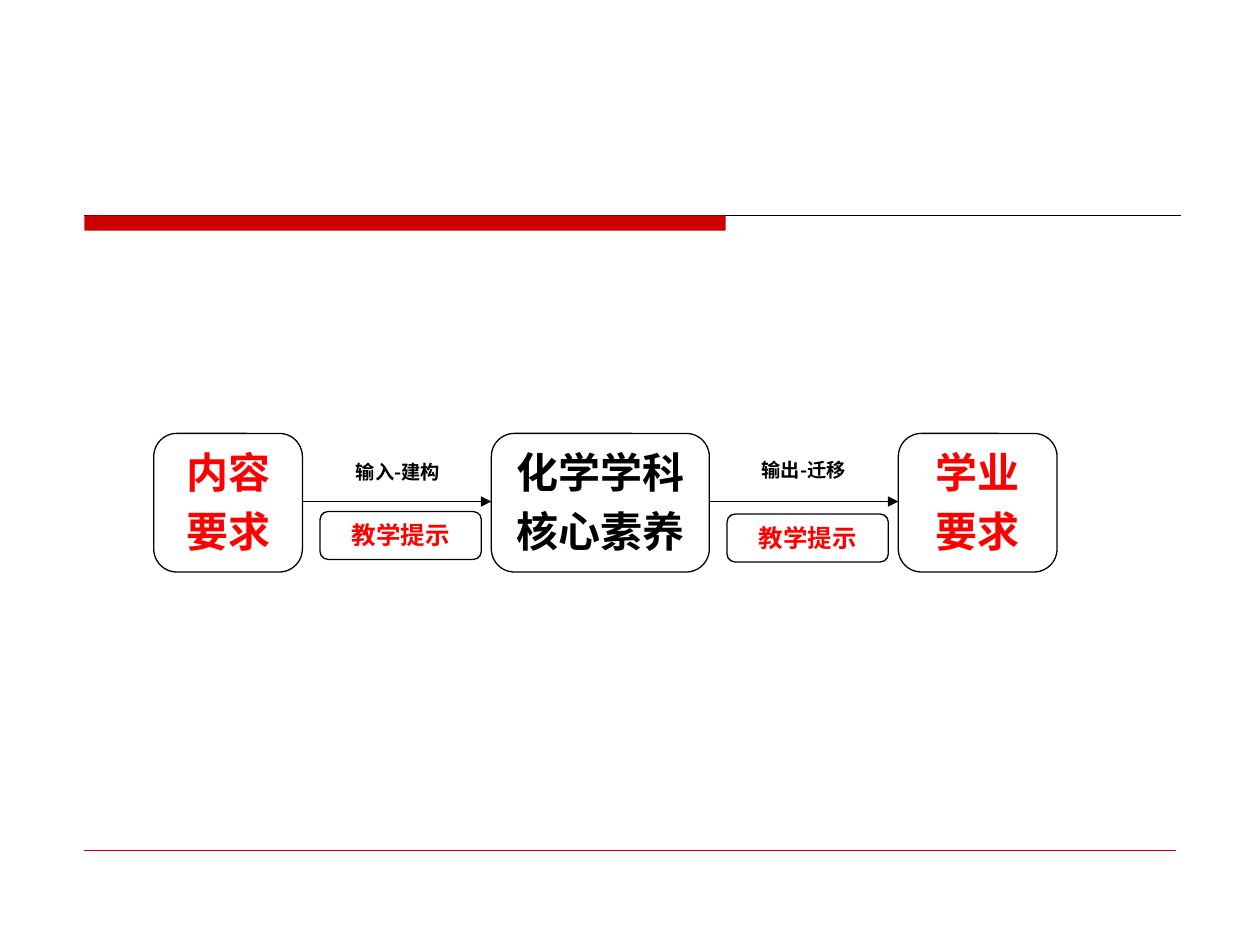
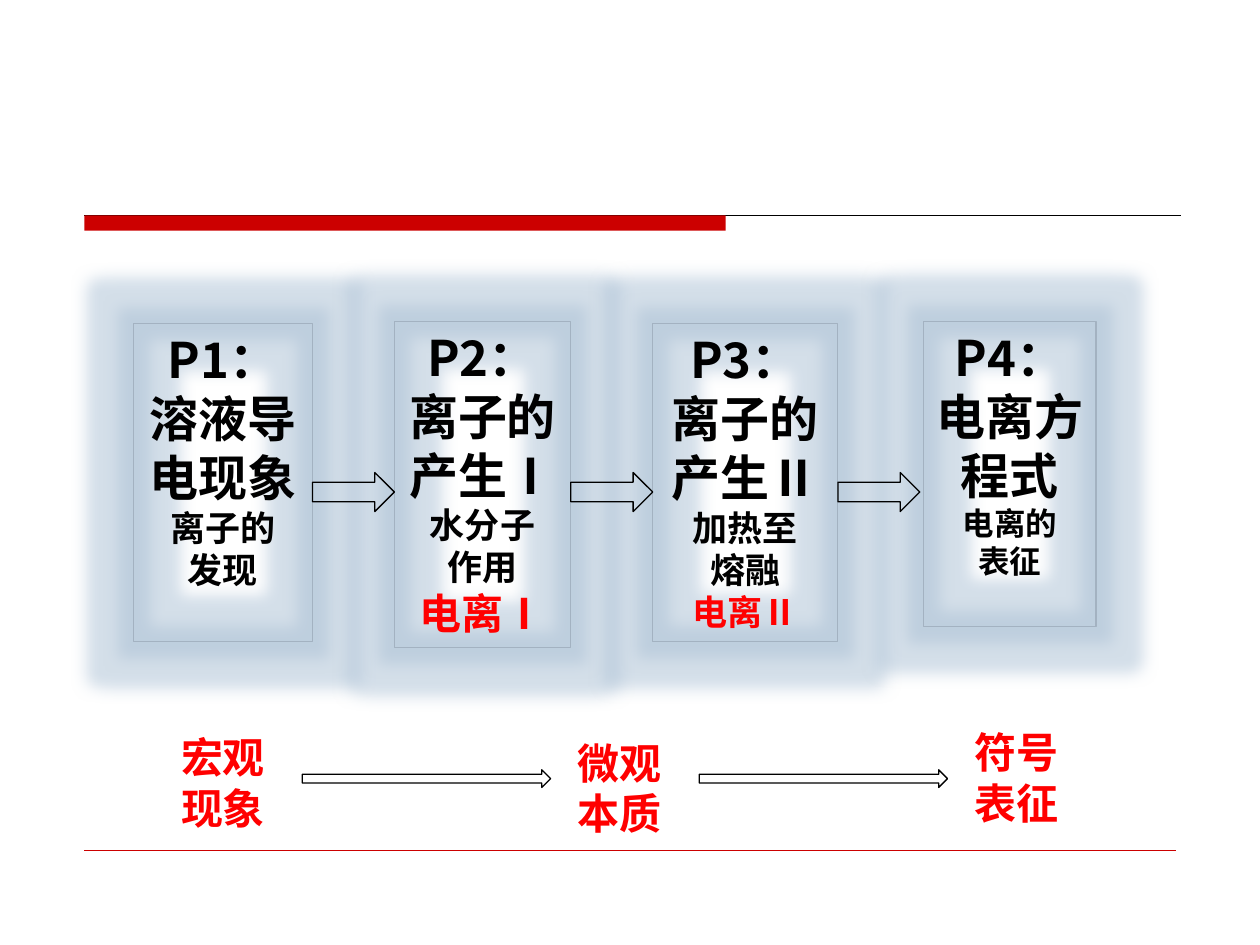
import lxml.etree
import pptx
import pptx.dml.color
import pptx.enum.shapes
import pptx.enum.text
import pptx.oxml
import pptx.oxml.ns
import pptx.util

RGBColor = pptx.dml.color.RGBColor
SHAPES = pptx.enum.shapes.MSO_SHAPE
ALIGN = pptx.enum.text.PP_ALIGN
ANCHOR = pptx.enum.text.MSO_ANCHOR
qn = pptx.oxml.ns.qn

BRAND_RED = RGBColor(0xCC, 0x00, 0x00)
TEXT_RED = RGBColor(0xFF, 0x00, 0x00)
BLACK = RGBColor(0x00, 0x00, 0x00)
PANEL_EDGE = RGBColor(0xA3, 0xB2, 0xC1)
PANEL_GLOW = RGBColor(0xA9, 0xBF, 0xD4)
FONT = "Noto Sans CJK SC"

# The slide is a grid of 100 columns by 75 rows.
COLUMNS, ROWS = 100, 75
CELL = pptx.util.Inches(0.1)
LEFT_MARGIN = 6.7
LINE_HEIGHT = 1.2


def cells(*counts):
    return [round(count * CELL) for count in counts]


def add_outline(page, preset, place, edge=BLACK, fill=None):
    """Add a preset shape at (left, top, width, height) in grid cells."""
    shape = page.shapes.add_shape(preset, *cells(*place))
    shape.shadow.inherit = False
    if fill is None:
        shape.fill.background()
    else:
        shape.fill.solid()
        shape.fill.fore_color.rgb = fill
    if edge is None:
        shape.line.fill.background()
    else:
        shape.line.color.rgb = edge
        shape.line.width = pptx.util.Pt(0.75)
    return shape


def add_line(page, start, end, color=BLACK, width=0.75, arrow=False):
    line = page.shapes.add_connector(
        pptx.enum.shapes.MSO_CONNECTOR.STRAIGHT, *cells(*start, *end))
    line.line.color.rgb = color
    line.line.width = pptx.util.Pt(width)
    properties = line._element.spPr
    if arrow:
        lxml.etree.SubElement(properties.find(qn("a:ln")), qn("a:tailEnd"), type="triangle")
    lxml.etree.SubElement(properties, qn("a:effectLst"))


def write_lines(box, lines, inset=(1, 0.5), lead=0):
    """Write (text, size, color) lines; lead is the space before, as a share of the size."""
    frame = box.text_frame
    frame.word_wrap = True
    frame.vertical_anchor = ANCHOR.TOP
    frame.margin_left = frame.margin_right = cells(inset[0])[0]
    frame.margin_top = frame.margin_bottom = cells(inset[1])[0]
    for index, (text, size, color) in enumerate(lines):
        para = frame.add_paragraph() if index else frame.paragraphs[0]
        para.alignment = ALIGN.CENTER
        para.line_spacing = pptx.util.Pt(size * LINE_HEIGHT)
        para.space_before = pptx.util.Pt(size * lead)
        span = para.add_run()
        span.text = text
        para.font.size = pptx.util.Pt(size)
        para.font.bold = True
        para.font.name = FONT
        para.font.color.rgb = color
        east_asian = lxml.etree.SubElement(span.font._element, qn("a:ea"))
        east_asian.set("typeface", FONT)


def add_glow(shape, radius, color, opacity):
    effects = shape._element.spPr.find(qn("a:effectLst"))
    glow = lxml.etree.SubElement(effects, qn("a:glow"), rad=str(cells(radius)[0]))
    tint = lxml.etree.SubElement(glow, qn("a:srgbClr"), val=str(color))
    lxml.etree.SubElement(tint, qn("a:alpha"), val=str(opacity * 1000))


def add_rounded_box(page, place, lines, edge=BLACK):
    box = add_outline(page, SHAPES.ROUNDED_RECTANGLE, place, edge)
    write_lines(box, lines, inset=(0.6, 0.5), lead=0.2)


def add_block_arrow(page, left, top, width, height):
    add_outline(page, SHAPES.RIGHT_ARROW, (left, top, width, height))


def add_panel(page, place, lines):
    panel = add_outline(page, SHAPES.RECTANGLE, place, PANEL_EDGE)
    add_glow(panel, 2.5, PANEL_GLOW, 50)
    write_lines(panel, lines)


def add_caption(page, left, top, lines):
    box = page.shapes.add_textbox(*cells(left, top, 12.6, 9.1))
    write_lines(box, [(text, 24, TEXT_RED) for text in lines])


def add_page(deck):
    """Add a blank page with the shared title band and footer rule."""
    page = deck.slides.add_slide(deck.slide_layouts[6])
    add_line(page, (LEFT_MARGIN, 17.1), (93.7, 17.1))
    add_outline(page, SHAPES.RECTANGLE, (LEFT_MARGIN, 17.1, 50.9, 1.2), None, BRAND_RED)
    add_line(page, (LEFT_MARGIN, 67.5), (93.3, 67.5), BRAND_RED, 0.25)
    return page


def build_literacy_page(deck):
    page = add_page(deck)
    stages = [
        (12.2, 11.8, TEXT_RED, ("内容", "要求")),
        (39, 17.3, BLACK, ("化学学科", "核心素养")),
        (71.3, 12.6, TEXT_RED, ("学业", "要求")),
    ]
    for left, width, color, texts in stages:
        add_rounded_box(page, (left, 34.4, width, 11), [(text, 24, color) for text in texts])
    for (left, width, *_), (next_left, *_) in zip(stages, stages[1:]):
        add_line(page, (left + width, 39.8), (next_left, 39.8), arrow=True)

    links = [("输入-建构", 25.7, 35.9, 25.4, 40.6), ("输出-迁移", 57.9, 35.7, 57.7, 40.8)]
    for text, label_left, label_top, hint_left, hint_top in links:
        add_rounded_box(page, (label_left, label_top, 11.8, 3.2), [(text, 11, BLACK)], None)
        add_rounded_box(page, (hint_left, hint_top, 12.8, 3.8), [("教学提示", 14, TEXT_RED)])


def build_ionization_page(deck):
    page = add_page(deck)
    panels = [
        ((10.6, 25.7, 14.2, 25.2), [
            ("P1：溶液导电现象", 28, BLACK), ("离子的", 20, BLACK), ("发现", 20, BLACK)]),
        ((31.3, 25.5, 14, 25.9), [
            ("P2：离子的产生Ⅰ", 28, BLACK), ("水分子", 20, BLACK), ("作用", 20, BLACK),
            ("电离Ⅰ", 24, TEXT_RED)]),
        ((51.8, 25.7, 14.7, 25.2), [
            ("P3：", 28, BLACK), ("离子的产生Ⅱ", 28, BLACK), ("加热至", 20, BLACK),
            ("熔融", 20, BLACK), ("电离Ⅱ", 20, TEXT_RED)]),
        ((73.3, 25.5, 13.7, 24.2), [
            ("P4：电离方程式", 28, BLACK), ("电离的", 18, BLACK), ("表征", 18, BLACK)]),
    ]
    for place, lines in panels:
        add_panel(page, place, lines)
    for (left, _, width, _), _ in panels[:-1]:
        add_block_arrow(page, left + width, 37.5, 6.5, 3.1)

    captions = [(57.6, ("宏观", "现象")), (58, ("微观", "本质")), (57.2, ("符号", "表征"))]
    for index, (top, lines) in enumerate(captions):
        left = 11.4 + index * 31.5
        add_caption(page, left, top, lines)
        if index < len(captions) - 1:
            add_block_arrow(page, left + 12.6, 61.1, 19.7, 1.4)


def main():
    deck = pptx.Presentation()
    deck.slide_width, deck.slide_height = cells(COLUMNS, ROWS)
    build_literacy_page(deck)
    build_ionization_page(deck)
    deck.save("out.pptx")


if __name__ == "__main__":
    main()
